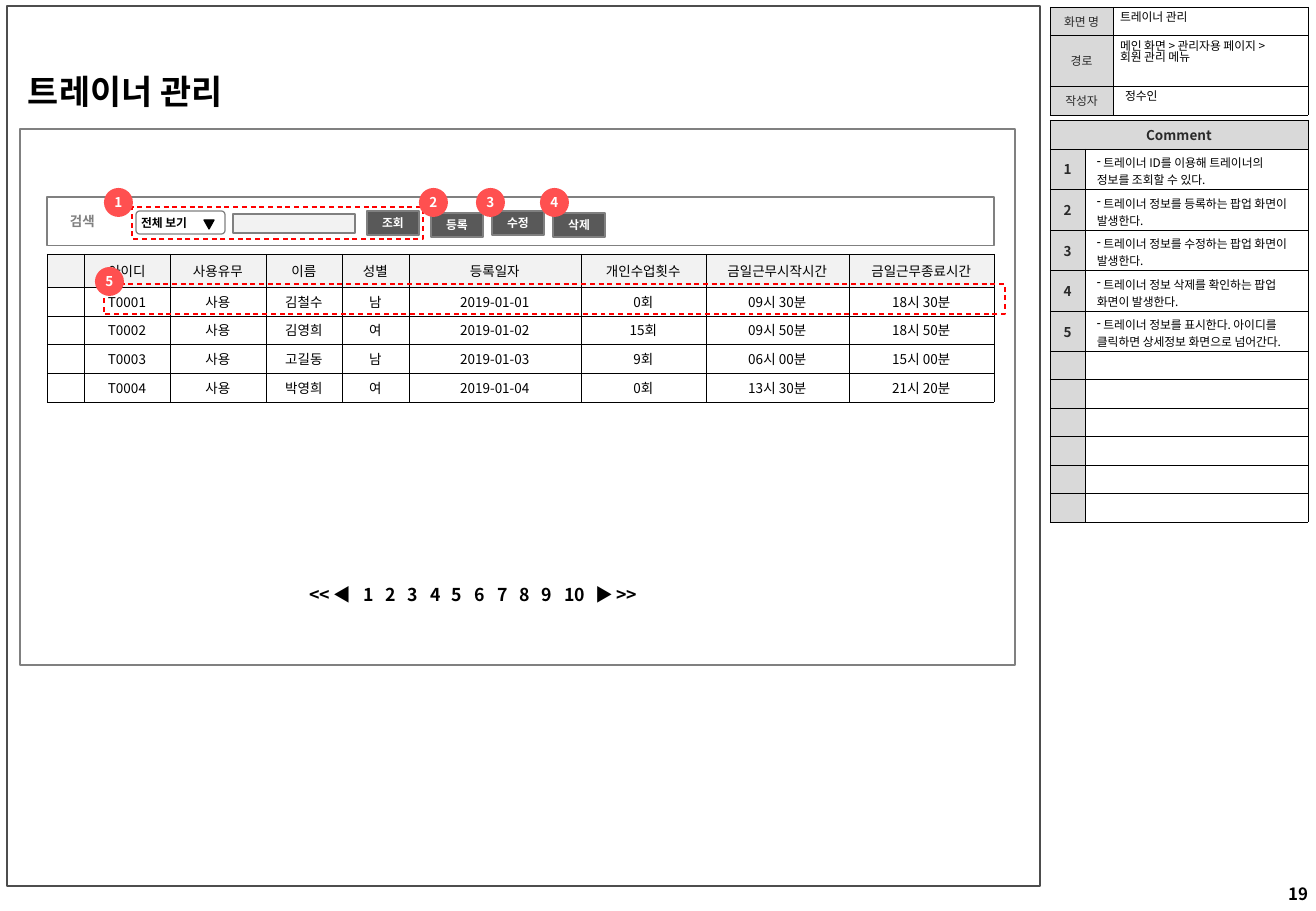
from lxml.etree import SubElement
from pptx import Presentation
from pptx.dml.color import RGBColor
from pptx.enum.dml import MSO_LINE
from pptx.enum.shapes import MSO_SHAPE
from pptx.enum.text import MSO_ANCHOR, MSO_AUTO_SIZE, PP_ALIGN
from pptx.oxml.ns import qn
from pptx.util import Pt

PX = 914400 / 121.5
FONT = "Noto Sans CJK KR"
COLORS = {
    "black": "000000", "white": "FFFFFF", "label": "292929", "frame": "4D4D4D",
    "gray": "808080", "button": "595959", "head": "D9D9D9", "light": "F2F2F2",
    "marker": "FF5050", "dash": "FF0000",
}
INSETS = (12, 6, 12, 6)
TIGHT = (0, 4, 0, 4)


def px(length):
    return round(length * PX)


def color(name):
    return RGBColor.from_string(COLORS[name])


def write(frame, text, size=7, ink="black", bold=False, align=PP_ALIGN.LEFT,
          spacing=None, bullet=None, tabs=()):
    """Fill the first paragraph of a text frame; an empty text only sets the size."""
    paragraph = frame.paragraphs[0]
    properties = paragraph._p.get_or_add_pPr()
    if bullet:
        properties.set("marL", "0")
        properties.set("indent", "0")
        SubElement(properties, qn("a:buChar"), char=bullet)
    if tabs:
        stops = SubElement(properties, qn("a:tabLst"))
        for stop in tabs:
            SubElement(stops, qn("a:tab"), pos=str(px(stop)), algn="l")
    paragraph.alignment = align
    if spacing:
        paragraph.line_spacing = spacing
    if not text:
        SubElement(paragraph._p, qn("a:endParaRPr"), sz=str(size * 100))
        return
    paragraph.text = text
    for run in paragraph.runs:
        font = run.font
        font.size, font.bold, font.name = Pt(size), bold, FONT
        font.color.rgb = color(ink)
        SubElement(run._r.get_or_add_rPr(), qn("a:ea"), typeface=FONT)


def set_insets(target, insets):
    (target.margin_left, target.margin_top,
     target.margin_right, target.margin_bottom) = map(px, insets)


def set_borders(cell):
    properties = cell._tc.get_or_add_tcPr()
    for side in ("lnL", "lnR", "lnT", "lnB"):
        border = SubElement(properties, qn(f"a:{side}"), w=str(Pt(0.25)))
        fill = SubElement(border, qn("a:solidFill"))
        SubElement(fill, qn("a:srgbClr"), val=COLORS["black"])


class Screen:
    def __init__(self, width, height):
        self.presentation = Presentation()
        self.presentation.slide_width = px(width)
        self.presentation.slide_height = px(height)
        layout = self.presentation.slide_layouts[5]
        self.slide = self.presentation.slides.add_slide(layout)

    def frame(self, shape, text, insets=INSETS, wrap=True, anchor=MSO_ANCHOR.TOP, **form):
        frame = shape.text_frame
        frame.auto_size = MSO_AUTO_SIZE.NONE
        frame.word_wrap = wrap
        frame.vertical_anchor = anchor
        set_insets(frame, insets)
        write(frame, text, **form)

    def title(self, box, text, **form):
        shape = self.slide.shapes.title
        shape.left, shape.top, shape.width, shape.height = map(px, box)
        self.frame(shape, text, **form)

    def text(self, box, text, **form):
        self.frame(self.slide.shapes.add_textbox(*map(px, box)), text, **form)

    def shape(self, box, kind=MSO_SHAPE.RECTANGLE, fill=None, line="gray",
              dashed=False, text=None, corner=None, **form):
        shape = self.slide.shapes.add_shape(kind, *map(px, box))
        shape.shadow.inherit = False
        if corner is not None:
            shape.adjustments[0] = corner
        if fill:
            shape.fill.solid()
            shape.fill.fore_color.rgb = color(fill)
        else:
            shape.fill.background()
        if line:
            shape.line.color.rgb = color(line)
            shape.line.width = Pt(0.75)
            if dashed:
                shape.line.dash_style = MSO_LINE.DASH
        else:
            shape.line.fill.background()
        if text:
            self.frame(shape, text, anchor=MSO_ANCHOR.MIDDLE, **form)
        return shape

    def button(self, x, y, text):
        self.shape((x, y, 52, 24), MSO_SHAPE.ROUNDED_RECTANGLE, "button", corner=0, text=text,
                   insets=TIGHT, ink="white", bold=True, align=PP_ALIGN.CENTER)

    def marker(self, x, y, number):
        self.shape((x, y, 29, 29), MSO_SHAPE.OVAL, "marker", None, text=str(number),
                   wrap=False, size=8, ink="white", bold=True, align=PP_ALIGN.CENTER)

    def table(self, x, y, columns, heights, texts, style):
        """style(row, column) gives the fill, the insets and the text format of a cell."""
        box = map(px, (x, y, sum(columns), sum(heights)))
        table = self.slide.shapes.add_table(len(heights), len(columns), *box).table
        for column, width in zip(table.columns, columns):
            column.width = px(width)
        for row, height in zip(table.rows, heights):
            row.height = px(height)
        for r, row_texts in enumerate(texts):
            for c, text in enumerate(row_texts):
                cell = table.cell(r, c)
                fill, insets, form = style(r, c)
                set_borders(cell)
                cell.fill.solid()
                cell.fill.fore_color.rgb = color(fill)
                cell.vertical_anchor = MSO_ANCHOR.MIDDLE
                set_insets(cell, insets)
                write(cell.text_frame, text, **form)
        return table


def info_style(row, column):
    form = {"ink": "label", "align": PP_ALIGN.CENTER}
    return ("white" if column else "head"), TIGHT, form


def comment_style(row, column):
    if row and column:
        return "white", (12, 5, 12, 1), {"bullet": "-" if row <= len(COMMENTS) else None}
    form = {"size": 8, "ink": "label", "bold": True, "align": PP_ALIGN.CENTER}
    return "head", TIGHT, form


def trainer_style(row, column):
    form = {"size": 8, "align": PP_ALIGN.CENTER}
    return ("white" if row else "light"), TIGHT, form


COMMENTS = [
    " 트레이너 ID를 이용해 트레이너의 정보를 조회할 수 있다.",
    " 트레이너 정보를 등록하는 팝업 화면이 발생한다.",
    " 트레이너 정보를 수정하는 팝업 화면이 발생한다.",
    " 트레이너 정보 삭제를 확인하는 팝업 화면이 발생한다.",
    " 트레이너 정보를 표시한다. 아이디를 클릭하면 상세정보 화면으로 넘어간다.",
]
TRAINERS = [
    ["", "아이디", "사용유무", "이름", "성별", "등록일자", "개인수업횟수",
     "금일근무시작시간", "금일근무종료시간"],
    ["", "T0001", "사용", "김철수", "남", "2019-01-01", "0회", "09시 30분", "18시 30분"],
    ["", "T0002", "사용", "김영희", "여", "2019-01-02", "15회", "09시 50분", "18시 50분"],
    ["", "T0003", "사용", "고길동", "남", "2019-01-03", "9회", "06시 00분", "15시 00분"],
    ["", "T0004", "사용", "박영희", "여", "2019-01-04", "0회", "13시 30분", "21시 20분"],
]


def main():
    screen = Screen(1316, 911)
    screen.shape((7, 6, 1033, 880), line="frame")
    screen.title((16, 69, 241, 54), "트레이너 관리", size=20, bold=True, spacing=0.9, wrap=False)
    screen.text((1218, 880, 98, 31), "19", insets=(8, 6, 8, 6), size=10, bold=True,
                align=PP_ALIGN.RIGHT, spacing=0.9)

    labels = [["화면 명", ""], ["경로", ""], ["작성자", ""]]
    screen.table(1050, 7, [63, 195], [28, 51, 29], labels, info_style)
    for box, text in [
        ((1108, 6, 200, 27), "트레이너 관리"),
        ((1108, 35, 200, 41), "메인 화면 > 관리자용 페이지 >\v회원 관리 메뉴"),
        ((1113, 85, 195, 27), "정수인"),
    ]:
        screen.text(box, text, spacing=0.82)

    comments = [["Comment", ""]]
    comments += [[str(number), text] for number, text in enumerate(COMMENTS, 1)]
    comments += [["", ""]] * 6
    heights = [29] + [40, 41] * 2 + [40] + [28, 29] * 3
    table = screen.table(1050, 120, [35, 223], heights, comments, comment_style)
    table.cell(0, 0).merge(table.cell(0, 1))

    screen.shape((20, 129, 995, 536), fill="white")
    screen.table(47, 254, [37, 86, 96, 76, 67, 172, 125, 143, 145], [33, 29, 28, 29, 29],
                 TRAINERS, trainer_style)

    screen.shape((47, 197, 947, 49), fill="white")
    screen.shape((136, 211, 89, 23), MSO_SHAPE.ROUNDED_RECTANGLE, corner=0.15,
                 text="전체 보기", insets=(4, 4, 0, 4), bold=True)
    screen.text((58, 208, 122, 28), "검색", size=8, ink="gray", bold=True, spacing=0.9,
                anchor=MSO_ANCHOR.MIDDLE)
    arrow = screen.shape((204, 220, 10, 9), MSO_SHAPE.ISOSCELES_TRIANGLE, "black", "black")
    arrow.rotation = 180
    screen.shape((233, 214, 122, 19), fill="light")
    for x, y, text in [(367, 211, "조회"), (431, 213, "등록"), (492, 211, "수정"),
                       (553, 213, "삭제")]:
        screen.button(x, y, text)

    for box in [(132, 207, 291, 32), (104, 284, 901, 30)]:
        screen.shape(box, line="dash", dashed=True)
    for number, (x, y) in enumerate(
            [(104, 188), (419, 188), (476, 188), (540, 188), (95, 267)], 1):
        screen.marker(x, y, number)

    pages = [str(page) for page in range(1, 11)]
    stops = [54 + 67 * index // 3 for index in range(10)] + [286]
    screen.text((297, 580, 450, 35), "\t".join(["<< ◀", *pages, "▶ >>"]), size=10.5,
                bold=True, spacing=0.9, tabs=stops)
    screen.presentation.save("out.pptx")


if __name__ == "__main__":
    main()
